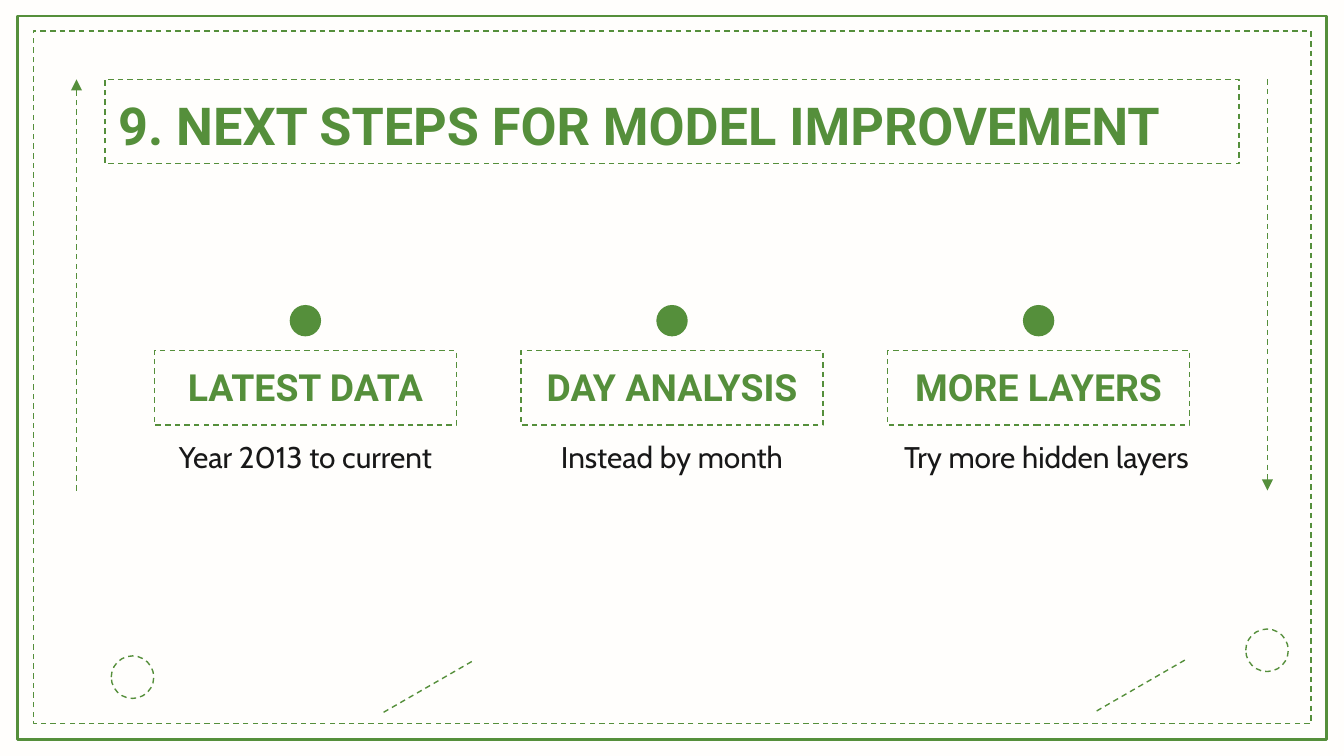
from pptx import Presentation
from pptx.dml.color import RGBColor
from pptx.enum.dml import MSO_LINE
from pptx.enum.shapes import MSO_CONNECTOR, MSO_SHAPE
from pptx.enum.text import MSO_ANCHOR, PP_ALIGN
from pptx.oxml.ns import qn
from pptx.util import Pt
from lxml.etree import SubElement

# Content
TITLE = "9. NEXT STEPS FOR MODEL IMPROVEMENT"
STEPS = [  # heading, detail, detail width
    ("LATEST DATA", "Year 2013 to current", 162),
    ("DAY ANALYSIS", "Instead by month", 162),
    ("MORE LAYERS", "Try more hidden layers", 170.6),
]

THEME = {
    "green": RGBColor(0x55, 0x8F, 0x3B),
    "paper": RGBColor(0xFF, 0xFE, 0xFC),
    "ink": RGBColor(0x18, 0x18, 0x18),
    "head_font": "Roboto", "body_font": "Cabin",
    "title": 28, "heading": 20, "detail": 16,
    "thick": 1.5, "thin": 0.75,
}

# Layout, in points
W, H = 720, 405
FRAME_OUTER = (9.4, 8.6, 701.2, 387.8)
FRAME_INNER = (17.8, 16.6, 684.6, 371)
TITLE_BOX = (56.2, 42.5, 607.7, 45.2)
RINGS = [(667.4, 337), (59.6, 351.4)]
RING_SIZE = 22.8
DASHES = [(587.5, 380.9, 635, 353.5), (205.5, 381.6, 253.8, 353.8)]
ARROWS = [(679, 42.5, 679, 262.8), (41, 262.8, 41, 42.5)]
STEP_LEFT, STEP_PITCH, STEP_W = 82.6, 196.4, 162
HEAD_TOP, HEAD_H, DETAIL_H = 187.9, 39.8, 49.7
DOT_TOP, DOT_SIZE = 163.4, 16.8

prs = Presentation()
prs.slide_width, prs.slide_height = Pt(W), Pt(H)
s = prs.slides.add_slide(prs.slide_layouts[6])
s.background.fill.solid()
s.background.fill.fore_color.rgb = THEME["paper"]


def style_line(line, width, dashed):
    line.color.rgb = THEME["green"]
    line.width = Pt(width)
    if dashed:
        line.dash_style = MSO_LINE.DASH


def add_shape(kind, box, fill=None, width=THEME["thin"], dashed=True):
    sp = s.shapes.add_shape(kind, *map(Pt, box))
    sp.shadow.inherit = False
    if fill is None:
        sp.fill.background()
    else:
        sp.fill.solid()
        sp.fill.fore_color.rgb = fill
    if width:
        style_line(sp.line, width, dashed)
    else:
        sp.line.fill.background()
    return sp


def add_line(ends, arrow=False):
    c = s.shapes.add_connector(MSO_CONNECTOR.STRAIGHT, *map(Pt, ends))
    style_line(c.line, THEME["thin"], True)
    props = c._element.spPr
    if arrow:
        SubElement(props.find(qn("a:ln")), qn("a:tailEnd"), type="triangle")
    SubElement(props, qn("a:effectLst"))


def set_text(sp, text, role, align):
    tf = sp.text_frame
    tf.word_wrap = True
    tf.vertical_anchor = MSO_ANCHOR.TOP
    tf.margin_left = tf.margin_right = tf.margin_top = tf.margin_bottom = Pt(7.2)
    p = tf.paragraphs[0]
    p.text = text
    p.alignment = align
    is_detail = role == "detail"
    p.font.size = Pt(THEME[role])
    p.font.bold = not is_detail
    p.font.name = THEME["body_font" if is_detail else "head_font"]
    p.font.color.rgb = THEME["ink" if is_detail else "green"]
    if is_detail:
        p.space_after = Pt(12)


# Frames and ornaments
add_shape(MSO_SHAPE.RECTANGLE, FRAME_OUTER, width=THEME["thick"], dashed=False)
add_shape(MSO_SHAPE.RECTANGLE, FRAME_INNER)
for x, y in RINGS:
    add_shape(MSO_SHAPE.OVAL, (x, y, RING_SIZE, RING_SIZE), THEME["paper"])
for ends in DASHES:
    add_line(ends)
for ends in ARROWS:
    add_line(ends, arrow=True)

# Title
set_text(add_shape(MSO_SHAPE.RECTANGLE, TITLE_BOX), TITLE, "title", PP_ALIGN.LEFT)

# Steps: dot, boxed heading, detail
for i, (heading, detail, detail_w) in enumerate(STEPS):
    x = STEP_LEFT + i * STEP_PITCH
    box = add_shape(MSO_SHAPE.RECTANGLE, (x, HEAD_TOP, STEP_W, HEAD_H))
    set_text(box, heading, "heading", PP_ALIGN.CENTER)
    tb = s.shapes.add_textbox(Pt(x), Pt(HEAD_TOP + HEAD_H), Pt(detail_w), Pt(DETAIL_H))
    set_text(tb, detail, "detail", PP_ALIGN.CENTER)
    dot_x = x + (STEP_W - DOT_SIZE) / 2
    add_shape(MSO_SHAPE.OVAL, (dot_x, DOT_TOP, DOT_SIZE, DOT_SIZE), THEME["green"], width=0)

prs.save("out.pptx")
